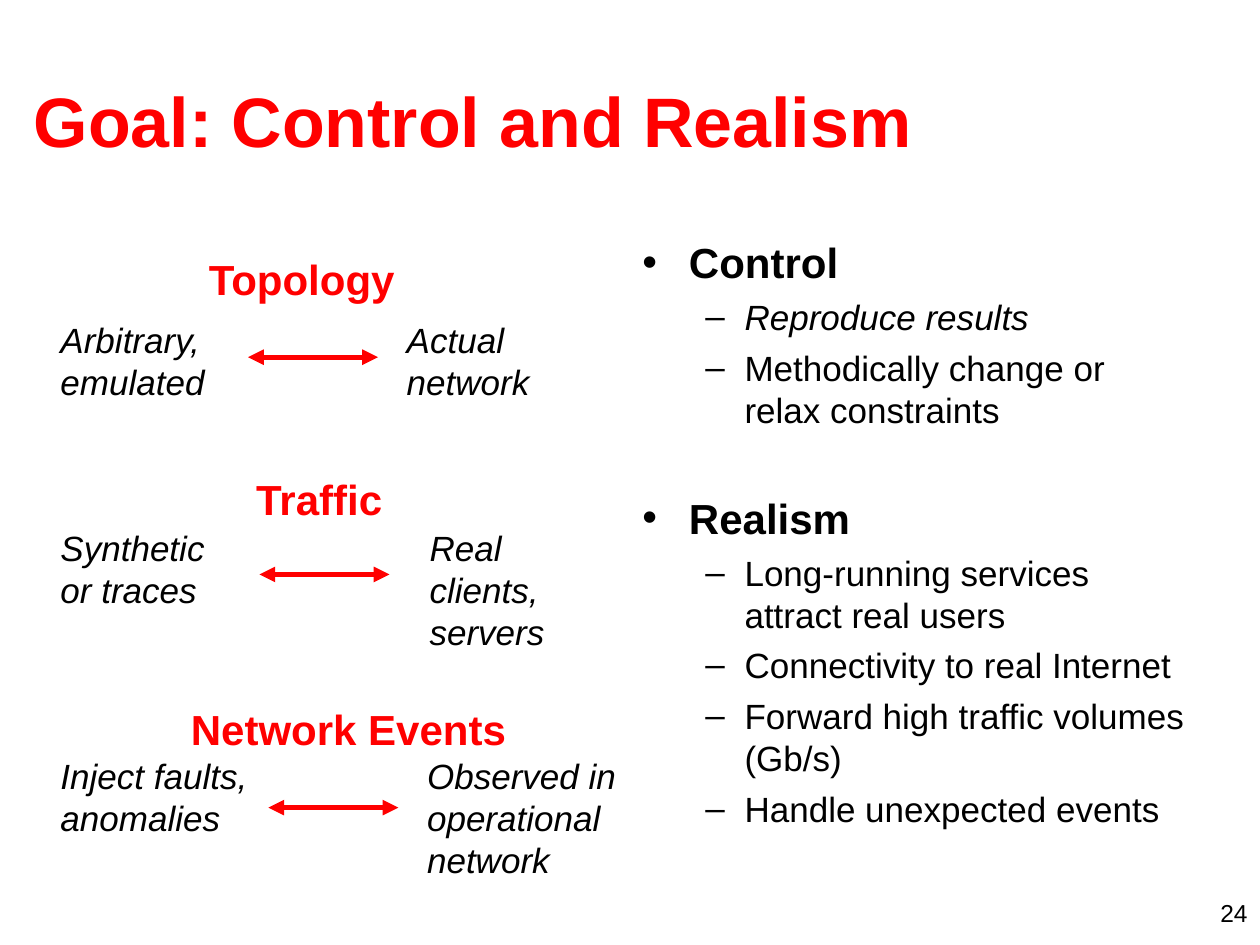
from dataclasses import dataclass

import lxml.etree
import pptx
import pptx.dml.color
import pptx.enum.shapes
import pptx.enum.text
import pptx.oxml.ns
import pptx.util

Cm = pptx.util.Cm
Pt = pptx.util.Pt
ALIGN = pptx.enum.text.PP_ALIGN
ANCHOR = pptx.enum.text.MSO_ANCHOR
GROW = pptx.enum.text.MSO_AUTO_SIZE.SHAPE_TO_FIT_TEXT
RED = pptx.dml.color.RGBColor(255, 0, 0)
BLACK = pptx.dml.color.RGBColor(0, 0, 0)

TITLE = {"size": Pt(40), "bold": True}
HEAD = {"size": Pt(24), "bold": True}
PLAIN = {"size": Pt(20)}
SLANT = {"size": Pt(20), "italic": True}
SMALL = {"size": Pt(14)}
LINE = 1.2  # line height as a multiple of the font size


@dataclass
class Box:
    left: float
    top: float
    width: float
    height: float


@dataclass
class Topic:
    name: str
    head: Box
    align: ALIGN
    ours: str
    near: Box
    real: str
    far: Box
    arrow: tuple[float, float]


@dataclass
class Point:
    text: str
    style: dict
    level: int = 1
    gap: float = 5


TOPICS = [
    Topic("Topology", Box(3.96, 4.98, 4.55, 1.27), ALIGN.LEFT,
          "Arbitrary, emulated", Box(0.97, 6.3, 4.65, 1.96),
          "Actual network", Box(7.95, 6.3, 3.81, 1.96), (5.0, 7.2)),
    Topic("Traffic", Box(4.29, 9.42, 4.29, 1.27), ALIGN.CENTER,
          "Synthetic\vor traces", Box(0.97, 10.49, 4.95, 1.96),
          "Real clients, servers", Box(8.41, 10.49, 4.06, 2.79), (5.23, 11.58)),
    Topic("Network Events", Box(3.53, 14.05, 6.99, 1.27), ALIGN.CENTER,
          "Inject faults, anomalies", Box(0.97, 15.09, 4.65, 1.96),
          "Observed in operational network", Box(8.36, 15.09, 4.88, 2.79),
          (5.41, 16.28)),
]

POINTS = [
    Point("Control", HEAD, 0, 0),
    Point("Reproduce results", SLANT),
    Point("Methodically change or relax constraints", PLAIN),
    Point("Realism", HEAD, 0, 35),
    Point("Long-running services attract real users", PLAIN),
    Point("Connectivity to real Internet", PLAIN),
    Point("Forward high traffic volumes (Gb/s)", PLAIN),
    Point("Handle unexpected events", PLAIN),
]

# Bullet sign, left margin and hanging indent for each level
MARKS = [("•", 0.94, -0.94), ("–", 2.06, -0.79)]


def add_node(base, tag: str, **attrs):
    node = lxml.etree.SubElement(base, pptx.oxml.ns.qn(tag))
    for key, value in attrs.items():
        node.set(key, str(value))
    return node


def style_text(para, style: dict, color=BLACK) -> None:
    para.line_spacing = Pt(style["size"].pt * LINE)
    for run in para.runs:
        for key, value in {"name": "Arial", **style}.items():
            setattr(run.font, key, value)
        run.font.color.rgb = color


def add_frame(slide, box: Box):
    shape = slide.shapes.add_textbox(
        Cm(box.left), Cm(box.top), Cm(box.width), Cm(box.height))
    shape.text_frame.word_wrap = True
    return shape.text_frame


def add_text(slide, box: Box, text: str, style: dict, color=BLACK,
             align=ALIGN.LEFT):
    frame = add_frame(slide, box)
    para = frame.paragraphs[0]
    # A vertical tab in the text becomes a line break
    for spot, part in enumerate(text.split("\v")):
        if spot:
            para.add_line_break()
        para.add_run().text = part
    para.alignment = align
    style_text(para, style, color)
    return frame


def add_list(slide, box: Box, points: list[Point]) -> None:
    frame = add_frame(slide, box)
    for spot, point in enumerate(points):
        para = frame.add_paragraph() if spot else frame.paragraphs[0]
        para.add_run().text = point.text
        para.level = point.level
        sign, left, hang = MARKS[point.level]
        style_text(para, point.style)
        para.space_before = Pt(point.gap)
        props = para._p.get_or_add_pPr()
        props.set("marL", str(Cm(left)))
        props.set("indent", str(Cm(hang)))
        tint = add_node(props, "a:buClr")
        add_node(tint, "a:srgbClr", val=BLACK)
        add_node(props, "a:buFont", typeface="Arial")
        add_node(props, "a:buChar", char=sign)


def add_arrow(slide, left: float, top: float, span: float = 2.62) -> None:
    """Draw a level red line with a head at each end."""
    line = slide.shapes.add_connector(
        pptx.enum.shapes.MSO_CONNECTOR.STRAIGHT,
        Cm(left), Cm(top), Cm(left + span), Cm(top))
    line.line.color.rgb = RED
    line.line.width = Pt(3)
    stroke = line.line._get_or_add_ln()
    for end in ("a:headEnd", "a:tailEnd"):
        add_node(stroke, end, type="triangle")
    add_node(line._element.spPr, "a:effectLst")


def add_topic(slide, topic: Topic) -> None:
    frames = [
        add_text(slide, topic.head, topic.name, HEAD, RED, topic.align),
        add_text(slide, topic.far, topic.real, SLANT),
        add_text(slide, topic.near, topic.ours, SLANT),
    ]
    for frame in frames:
        frame.auto_size = GROW
    add_arrow(slide, *topic.arrow)


def main() -> None:
    deck = pptx.Presentation()
    deck.slide_width, deck.slide_height = Cm(25.4), Cm(19.05)
    slide = deck.slides.add_slide(deck.slide_layouts[6])
    title = add_text(slide, Box(0.43, 0.81, 24.33, 3.18),
                     "Goal: Control and Realism", TITLE, RED)
    title.vertical_anchor = ANCHOR.MIDDLE
    add_list(slide, Box(12.7, 4.65, 11.5, 14.4), POINTS)
    for topic in TOPICS:
        add_topic(slide, topic)
    add_text(slide, Box(19.48, 17.98, 5.92, 0.86), "24", SMALL,
             align=ALIGN.RIGHT)
    deck.save("out.pptx")


if __name__ == "__main__":
    main()
